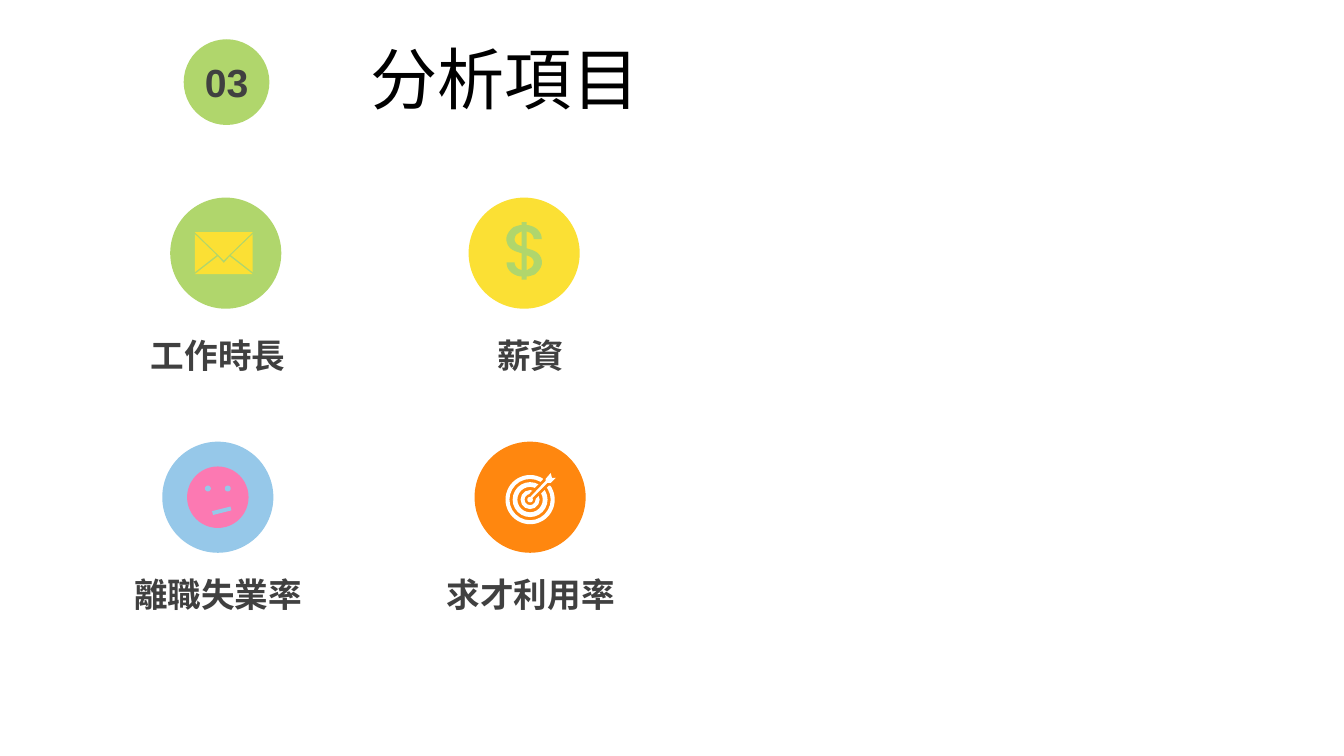
from pptx import Presentation
from pptx.dml.color import RGBColor
from pptx.enum import shapes, text
from pptx.util import Cm, Pt

COLORS = {
    "green": "B0D66C", "yellow": "FBE034", "blue": "96C8E9", "orange": "FF870F",
    "pink": "FC79B2", "white": "FFFFFF", "ink": "404040", "black": "000000",
}
FONT = "Arial"
CIRCLE = 2.8


def rgb(color):
    return RGBColor.from_string(COLORS[color])


def paint(shape, color):
    shape.shadow.inherit = False
    shape.fill.solid()
    shape.fill.fore_color.rgb = rgb(color)
    shape.line.fill.background()
    return shape


def centred(slide, kind, cx, cy, w, h, color):
    """Add a preset shape around a centre given in cm."""
    return paint(slide.shapes.add_shape(
        kind, Cm(cx - w / 2), Cm(cy - h / 2), Cm(w), Cm(h)), color)


def disc(slide, cx, cy, diameter, color):
    return centred(slide, shapes.MSO_SHAPE.OVAL, cx, cy, diameter, diameter, color)


def outline(slide, cx, cy, contours, color):
    """Add one freeform; points are in mm from the centre (cx, cy)."""
    contours = [[(x * 100, y * 100) for x, y in points] for points in contours]
    builder = slide.shapes.build_freeform(*contours[0][0], scale=Cm(0.001))
    for i, points in enumerate(contours):
        if i:
            builder.move_to(*points[0])
        builder.add_line_segments(points[1:], close=True)
    return paint(builder.convert_to_shape(Cm(cx), Cm(cy)), color)


def trace(segments, steps=8):
    """Turn points and (control, control, end) curves into a list of points."""
    points = []
    for segment in segments:
        if len(segment) == 2:
            points.append(segment)
            continue
        corners = (points[-1], *segment)
        for t in (i / steps for i in range(1, steps + 1)):
            weights = ((1 - t) ** 3, 3 * t * (1 - t) ** 2, 3 * t * t * (1 - t), t ** 3)
            points.append(tuple(sum(w * c[axis] for w, c in zip(weights, corners))
                                for axis in (0, 1)))
    return points


def write(frame, words, size, color, bold=False):
    frame.word_wrap = True
    paragraph = frame.paragraphs[0]
    paragraph.text = words
    paragraph.alignment = text.PP_ALIGN.CENTER
    font = paragraph.font
    font.name, font.size, font.bold = FONT, Pt(size), bold
    font.color.rgb = rgb(color)
    return paragraph


def envelope(slide, cx, cy):
    cx -= 0.05
    side = [(7.3, -4.8), (7.3, 4.8), (1.8, 0.5)]
    outline(slide, cx, cy, [
        [(1.5, 0.8), (7.3, 5.3), (-7.3, 5.3), (-1.5, 0.8), (0, 2.5)],
        side,
        [(-x, y) for x, y in side],
        [(-7.3, -5.3), (7.3, -5.3), (0, 1.8)],
    ], "yellow")


def dollar(slide, cx, cy):
    """Draw half of the sign and turn it by 180 degrees for the other half."""
    half = trace([
        (-0.63, -7.24), (0.63, -7.24), (0.63, -6.48),
        ((1.14, -6.48), (1.52, -6.35), (1.9, -6.22)),
        ((3.43, -5.71), (4.44, -4.44), (4.44, -2.92)),
        (2.41, -2.92),
        ((2.41, -3.68), (1.9, -4.44), (1.14, -4.7)),
        ((0.89, -4.7), (0.63, -4.95), (0.63, -4.95)),
        (0.63, -0.63),
        ((2.16, -0.13), (3.94, 0.13), (4.44, 2.41)),
        ((4.7, 3.68), (3.94, 4.95), (2.67, 5.97)),
        ((1.9, 6.22), (1.27, 6.48), (0.63, 6.48)),
    ])
    bowl = trace([
        (0.63, 1.14), (0.63, 4.95),
        ((0.89, 4.7), (1.14, 4.7), (1.4, 4.44)),
        ((2.16, 4.19), (2.41, 3.43), (2.41, 2.67)),
        ((2.16, 1.65), (1.4, 1.4), (0.63, 1.14)),
    ])

    def turned(points):
        return [(-x, -y) for x, y in points]

    outline(slide, cx, cy - 0.06, [half + turned(half), bowl, turned(bowl)], "green")


def face(slide, cx, cy):
    disc(slide, cx, cy, 1.55, "pink")
    for side in (-1, 1):
        disc(slide, cx + side * 0.25, cy - 0.22, 0.15, "blue")
    mouth = centred(slide, shapes.MSO_SHAPE.RECTANGLE,
                    cx + 0.1, cy + 0.34, 0.48, 0.1, "blue")
    mouth.rotation = -14


def target(slide, cx, cy):
    cy += 0.06
    for outer, inner in ((0.62, 0.52), (0.44, 0.32), (0.24, 0.14)):
        ring = centred(slide, shapes.MSO_SHAPE.DONUT, cx, cy, 2 * outer, 2 * outer, "white")
        ring.adjustments[0] = (outer - inner) / (2 * outer)
    arrow = [(5.2, -6.7), (5.5, -5.5), (6.5, -5.5), (5.2, -4.2), (4.4, -4.2),
             (0.6, -0.4), (0, -0.6), (3.9, -4.7), (3.9, -5.2)]
    gap = outline(slide, cx, cy, [arrow], "orange")
    gap.line.color.rgb = rgb("orange")
    gap.line.width = Pt(4)
    outline(slide, cx, cy, [arrow], "white")
    disc(slide, cx, cy, 0.14, "white")


def heading(slide, left, top, number, words):
    badge = disc(slide, left + 2.66, top + 0.98, 2.16, "green")
    frame = badge.text_frame
    frame.margin_left = frame.margin_right = 0
    write(frame, number, 28, "ink", bold=True)
    title = slide.shapes.add_textbox(Cm(left), Cm(top), Cm(19.35), Cm(2)).text_frame
    title.vertical_anchor = text.MSO_ANCHOR.MIDDLE
    paragraph = write(title, words, 48, "black")
    paragraph.line_spacing = 0.9
    paragraph.space_before = Pt(10)


def topic(slide, left, top, label_drop, inset, words, color, icon):
    cx, cy = left + inset + CIRCLE / 2, top + CIRCLE / 2
    disc(slide, cx, cy, CIRCLE, color)
    icon(slide, cx, cy)
    label = slide.shapes.add_textbox(Cm(left), Cm(top + label_drop), Cm(6.07), Cm(1.27))
    write(label.text_frame, words, 24, "ink", bold=True)


def topic_grid(slide, left, top):
    rows = (
        (3.33, ((1.83, "工作時長", "green", envelope), (1.47, "薪資", "yellow", dollar))),
        (3.2, ((1.63, "離職失業率", "blue", face), (1.62, "求才利用率", "orange", target))),
    )
    for row, (label_drop, topics) in enumerate(rows):
        for column, content in enumerate(topics):
            topic(slide, left + column * 7.88, top + row * 6.15, label_drop, *content)


def main():
    deck = Presentation()
    deck.slide_width, deck.slide_height = Cm(33.87), Cm(19.05)
    slide = deck.slides.add_slide(deck.slide_layouts[6])
    heading(slide, 3.05, 1.09, "03", "分析項目")
    topic_grid(slide, 2.46, 4.98)
    deck.save("out.pptx")


if __name__ == "__main__":
    main()
